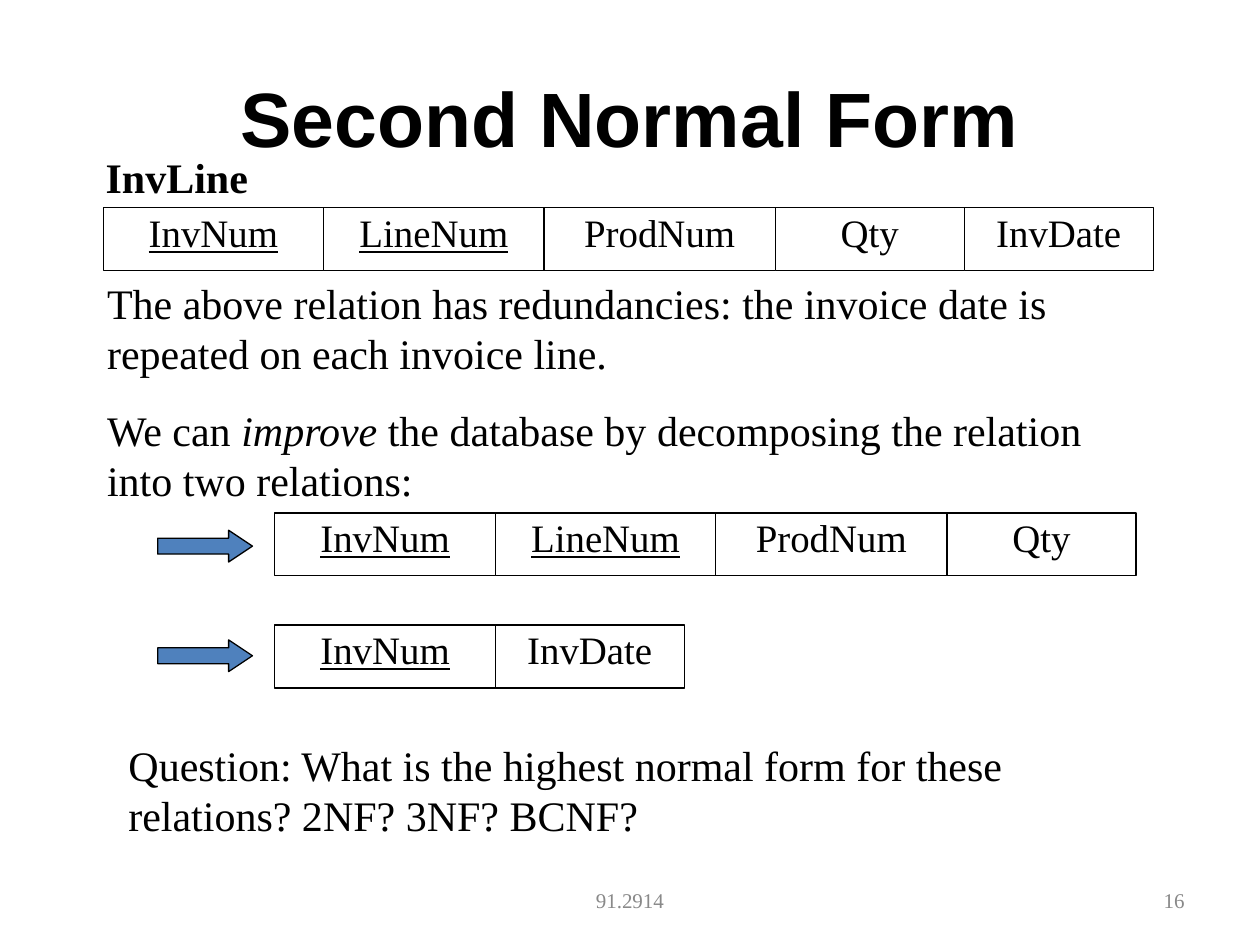
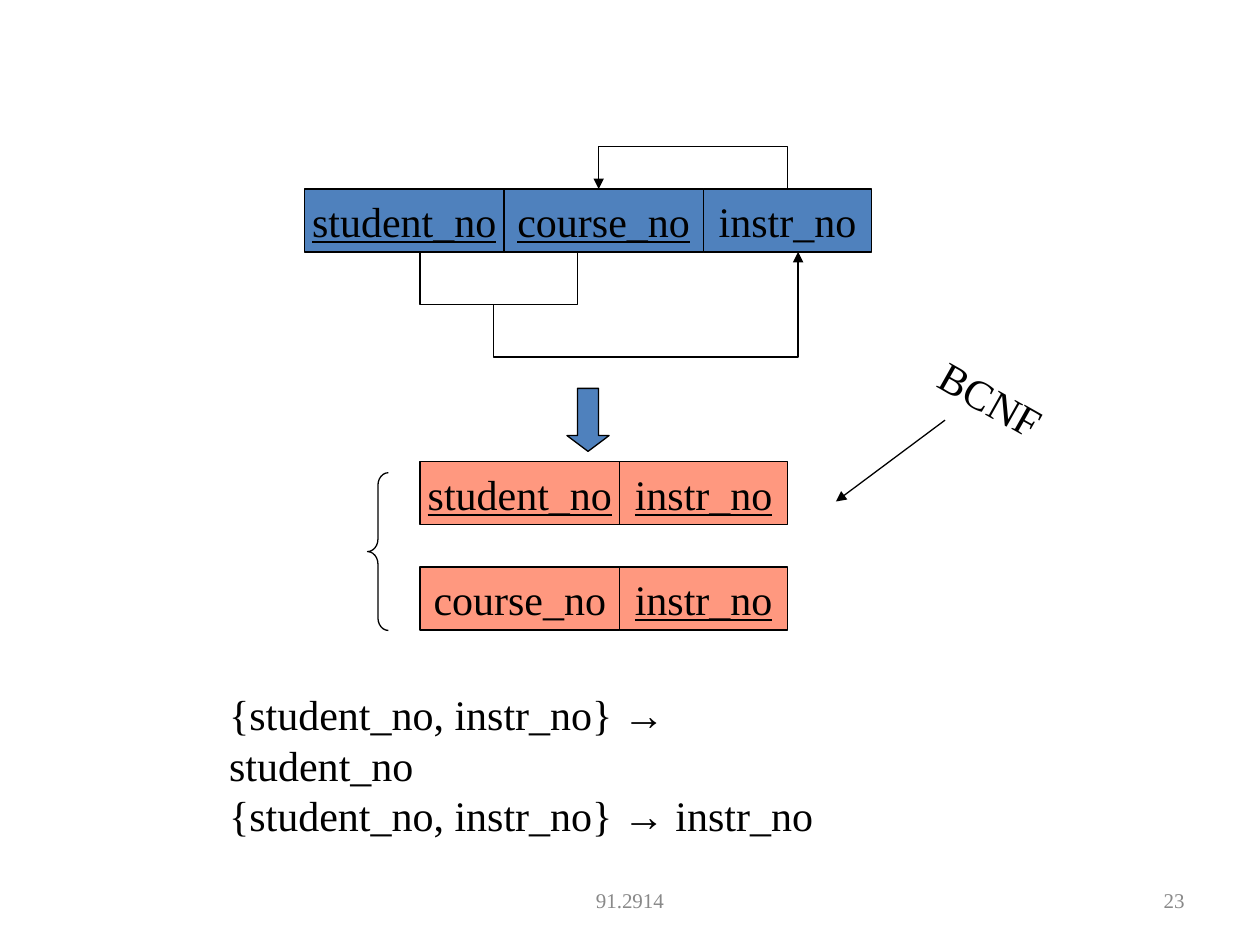
"""Build two slides on second normal form and BCNF decomposition."""
from lxml.etree import SubElement
from pptx import Presentation
from pptx.dml.color import RGBColor as Rgb
from pptx.enum.shapes import MSO_CONNECTOR as Link, MSO_SHAPE as Kind
from pptx.enum.text import MSO_ANCHOR as Anchor, PP_ALIGN as Align
from pptx.oxml.ns import qn
from pptx.util import Cm, Pt

HUES = {"ink": "000000", "paper": "FFFFFF", "blue": "4F81BD",
        "red": "FF3300", "grey": "898989"}
SERIF, SANS = "Times New Roman", "Arial"
HIGH = 1.27
LEAD = Pt(28.8)
WIDE = {"InvNum": 4.445, "LineNum": 4.445, "ProdNum": 4.66, "Qty": 3.81,
        "InvDate": 3.81, "student_no": 4.02, "course_no": 4.02, "instr_no": 3.39}


def hue(name):
    return Rgb.from_string(HUES[name])


def span(*cms):
    return [Cm(n) for n in cms]


def style(font, size, name=SERIF, tint="ink", bold=None):
    font.size, font.name, font.bold = Pt(size), name, bold
    font.color.rgb = hue(tint)


def write(frame, paras, size=24, align=Align.LEFT, lead=None, gap=0, **look):
    for i, runs in enumerate(paras):
        para = frame.add_paragraph() if i else frame.paragraphs[0]
        para.alignment, para.line_spacing = align, lead
        if i and gap:
            para.space_before = Pt(gap)
        style(para.font, size, **look)
        for text in runs:
            run = para.add_run()
            run.text = text
            if text == "→":
                run.font.name = SANS
            elif text == "improve":
                run.font.italic = True


def note(slide, area, paras, wrap=True, anchor=Anchor.TOP, **look):
    box = slide.shapes.add_textbox(*span(*area))
    frame = box.text_frame
    frame.word_wrap, frame.vertical_anchor = wrap, anchor
    write(frame, paras, **look)
    return box


def edge(item, head=False):
    item.line.color.rgb = hue("ink")
    item.line.width = Pt(0.75)
    if head:
        line = item.element.spPr.find(qn("a:ln"))
        SubElement(line, qn("a:tailEnd"), type="triangle")


def solid(slide, kind, area, tint=None, bends=()):
    item = slide.shapes.add_shape(kind, *span(*area))
    item.shadow.inherit = False
    for i, bend in enumerate(bends):
        item.adjustments[i] = bend
    if tint:
        item.fill.solid()
        item.fill.fore_color.rgb = hue(tint)
    else:
        item.fill.background()
    edge(item)
    return item


def fade(item, part):
    tone = item.element.spPr.find(qn("a:solidFill"))[0]
    SubElement(tone, qn("a:alpha"), val=str(part * 1000))


def row(slide, left, top, names, keys, tint, size, anchor, lead=None, alpha=None):
    for name in names.split():
        cell = solid(slide, Kind.RECTANGLE, (left, top, WIDE[name], HIGH), tint)
        if alpha:
            fade(cell, alpha)
        frame = cell.text_frame
        frame.word_wrap, frame.vertical_anchor = False, anchor
        write(frame, [[name]], size, Align.CENTER, lead)
        frame.paragraphs[0].font.underline = name in keys.split()
        left += WIDE[name]


def trace(slide, dots, head=False):
    first, *rest = [span(*dot) for dot in dots]
    pen = slide.shapes.build_freeform(*first, scale=1.0)
    pen.add_line_segments(rest, close=False)
    item = pen.convert_to_shape()
    item.shadow.inherit = False
    item.fill.background()
    edge(item, head)


def arrow(slide, start, end):
    item = slide.shapes.add_connector(Link.STRAIGHT, *span(*start, *end))
    edge(item, head=True)
    SubElement(item.element.spPr, qn("a:effectLst"))


def footer(slide, page):
    for left, wide, text, align in ((8.68, 8.04, "91.2914", Align.CENTER),
                                    (18.2, 5.93, page, Align.RIGHT)):
        note(slide, (left, 17.65, wide, 1.01), [[text]], anchor=Anchor.MIDDLE,
             size=12, align=align, tint="grey")


def second(deck):
    slide = deck.slides.add_slide(deck.slide_layouts[5])
    title = slide.shapes.title
    title.left, title.top, title.width, title.height = span(1.27, 0.76, 22.86, 3.18)
    title.text_frame.vertical_anchor = Anchor.MIDDLE
    write(title.text_frame, [["Second Normal Form"]], 44, Align.CENTER,
          name=SANS, bold=True)
    footer(slide, "16")
    for left, top, names in ((2.08, 4.19, "InvNum LineNum ProdNum Qty InvDate"),
                             (5.54, 10.34, "InvNum LineNum ProdNum Qty"),
                             (5.54, 12.6, "InvNum InvDate")):
        row(slide, left, top, names, "InvNum LineNum", "paper", 22.2, Anchor.TOP, 0.9)
    note(slide, (1.88, 2.92, 3.38, HIGH), [["InvLine"]], wrap=False,
         lead=LEAD, bold=True)
    note(slide, (1.91, 5.46, 21.59, 4.85), [
        ["The above relation has redundancies: the invoice date is "
         "repeated on each invoice line."],
        ["We can ", "improve",
         " the database by decomposing the relation into two relations:"],
    ], lead=LEAD, gap=15)
    for top in (10.69, 12.9):
        solid(slide, Kind.RIGHT_ARROW, (3.18, top, 1.91, 0.64), "blue", (0.5, 0.75))
    note(slide, (2.34, 14.78, 20.75, 2.29), [
        ["Question: What is the highest normal form for these "
         "relations? 2NF? 3NF? BCNF?"]], lead=LEAD)


def boyce(deck):
    slide = deck.slides.add_slide(deck.slide_layouts[6])
    footer(slide, "23")
    for top, names, keys in ((11.43, "course_no instr_no", "instr_no"),
                             (9.31, "student_no instr_no", "student_no instr_no")):
        row(slide, 8.47, top, names, keys, "red", 24, Anchor.MIDDLE, alpha=50)
    row(slide, 6.14, 3.81, "student_no course_no instr_no", "student_no course_no",
        "blue", 24, Anchor.MIDDLE)
    trace(slide, [(8.47, 5.08), (8.47, 6.14), (11.64, 6.14), (11.64, 5.08)])
    trace(slide, [(9.95, 6.14), (9.95, 7.2), (16.09, 7.2), (16.09, 5.08)], True)
    trace(slide, [(15.88, 3.81), (15.88, 2.96), (12.07, 2.96), (12.07, 3.81)], True)
    solid(slide, Kind.DOWN_ARROW, (11.43, 7.83, 0.85, HIGH), "blue", (0.5, 0.375))
    solid(slide, Kind.LEFT_BRACE, (7.41, 9.53, 0.42, 3.18), bends=(0.6, 0.5))
    label = note(slide, (18.63, 7.41, 2.72, HIGH), [["BCNF"]], wrap=False, lead=LEAD)
    label.rotation = 29.4
    arrow(slide, (19.05, 8.47), (16.85, 10.11))
    note(slide, (4.37, 13.76, 13.06, 2.29), [
        ["{student_no, instr_no} ", "→", " " + name]
        for name in ("student_no", "instr_no")], lead=LEAD)


def main():
    deck = Presentation()
    deck.slide_width, deck.slide_height = span(25.4, 19.05)
    second(deck)
    boyce(deck)
    deck.save("out.pptx")


if __name__ == "__main__":
    main()
